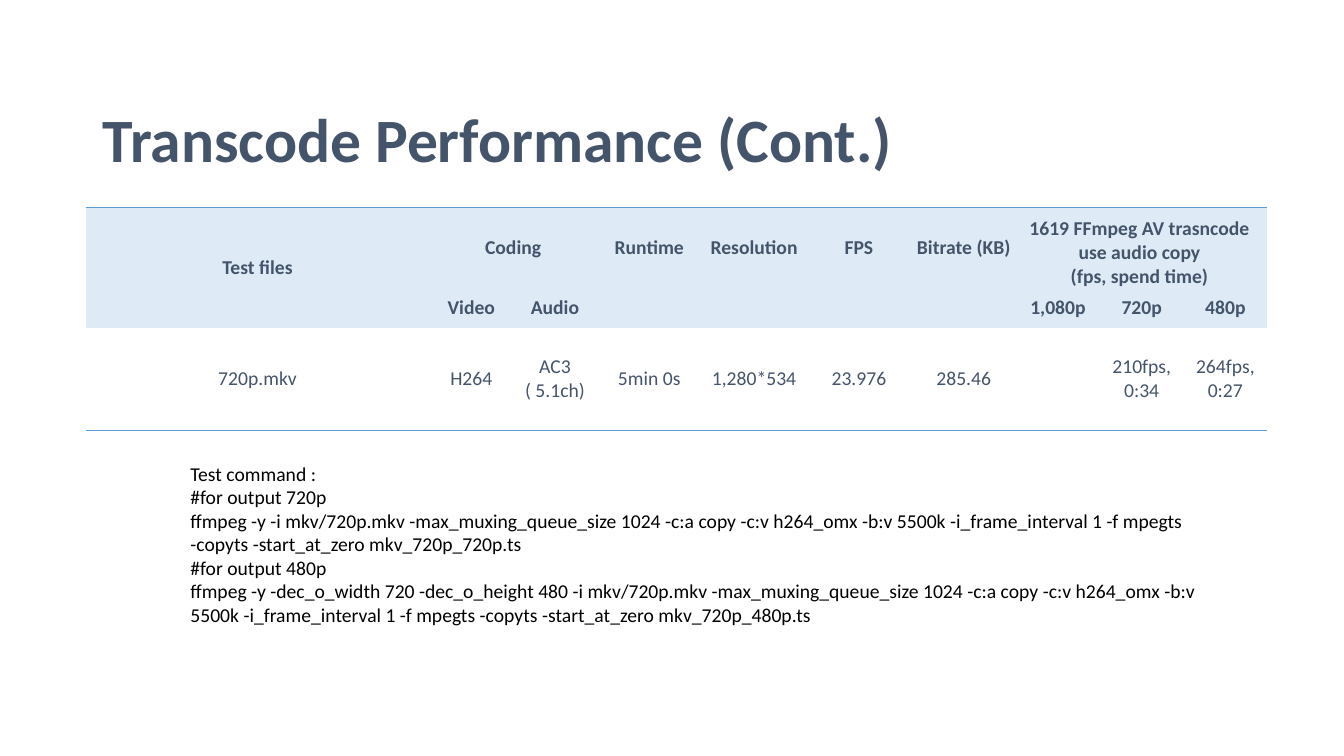
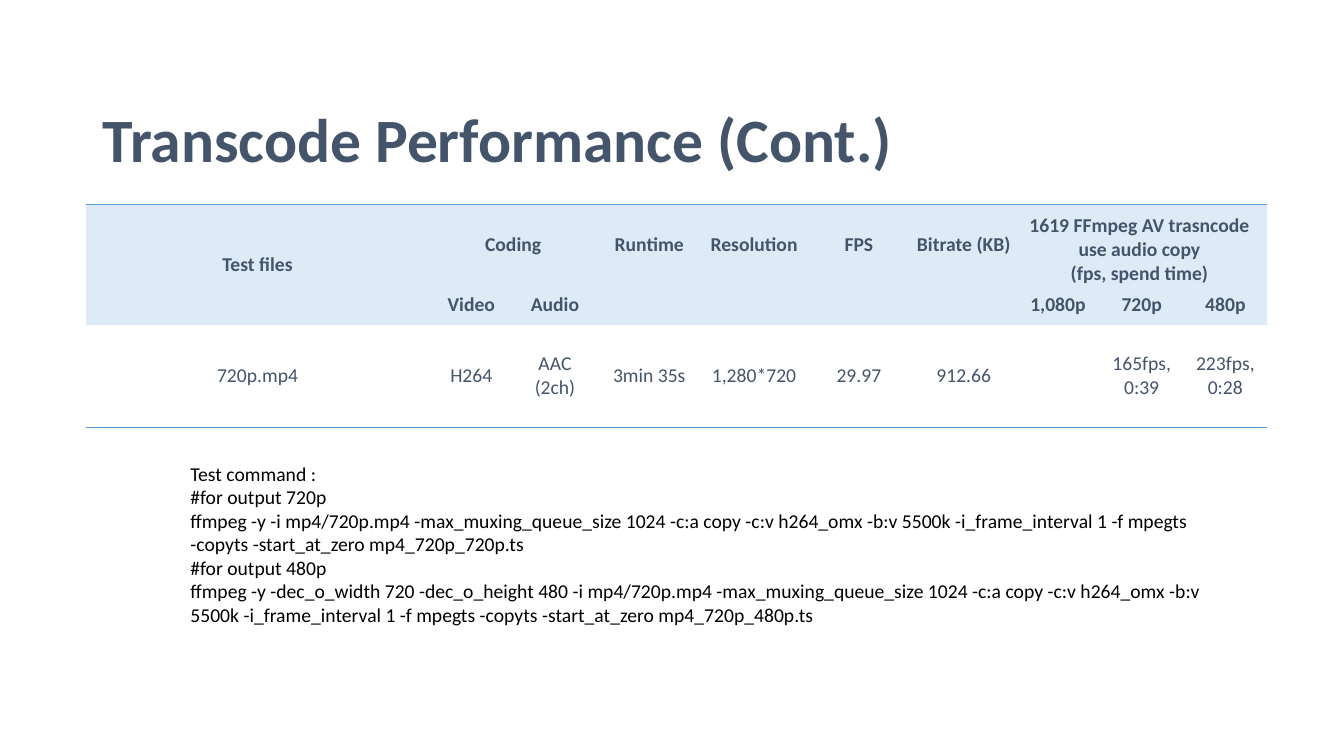
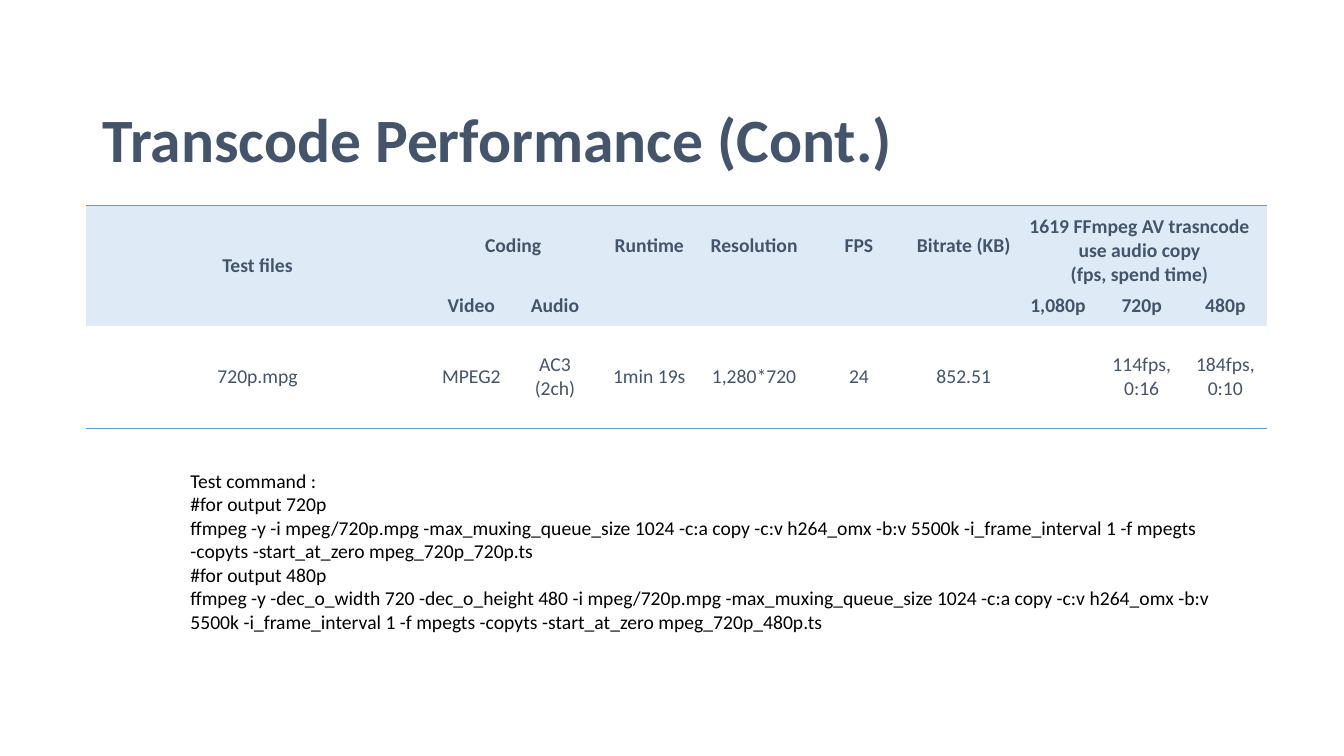
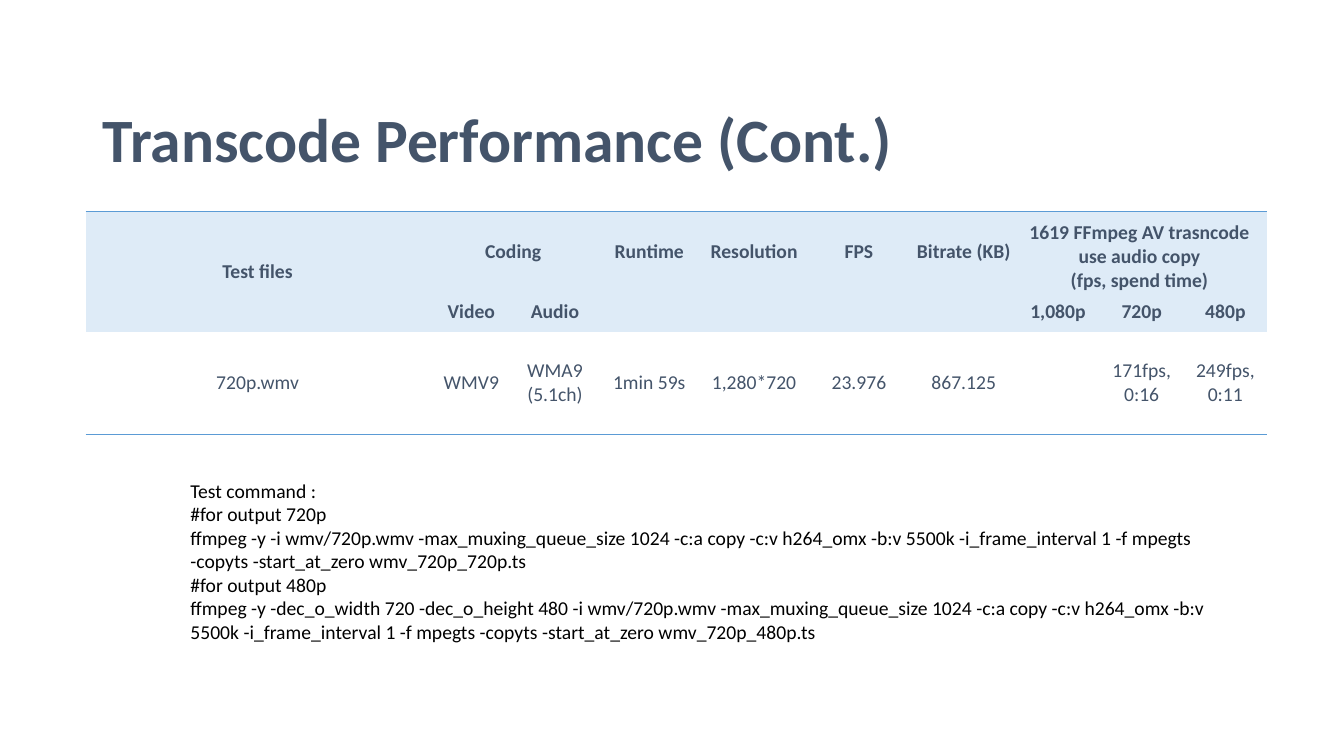
from dataclasses import dataclass

from lxml.etree import SubElement
from pptx import Presentation
from pptx.dml.color import RGBColor as Color
from pptx.enum.text import MSO_ANCHOR as Anchor, MSO_AUTO_SIZE as AutoSize, PP_ALIGN as Align
from pptx.oxml.ns import qn
from pptx.util import Inches, Pt


@dataclass(frozen=True)
class Theme:
    font: str = "Calibri"
    title_size: int = 44
    body_size: int = 14
    heading: str = "44546A"
    body: str = "000000"
    header_fill: str = "DEEBF7"
    rule: str = "5B9BD5"
    rule_width: int = 1
    plain_table: str = "{2D5ABB26-0587-4C30-8999-92F81FD0307C}"


THEME = Theme()

# Table layout shared by every slide
COLUMN_WIDTHS = [3.41] + [0.83] * 2 + [1.04] * 4 + [0.83] * 3
ROW_HEIGHTS = [0.8, 0.39, 1.02]
HEADER_ROWS = [
    ["Test files", "Coding", "", "Runtime", "Resolution", "FPS", "Bitrate (KB)",
     "1619 FFmpeg AV trasncode \nuse audio copy \n(fps, spend time) ", "", ""],
    ["", "Video", "Audio", "", "", "", "", "1,080p", "720p", "480p"],
]
MERGES = [((0, 0), (1, 0)), ((0, 1), (0, 2)), ((0, 7), (0, 9))]
RESULT_CELL = (0, 7)

# One entry per slide: folder, file type, table top, command top, measured values
TESTS = [
    ("mkv", "mkv", 2.06, 4.53,
     ["H264", ["AC3", "( 5.1ch)"], "5min 0s", "1,280*534", "23.976", "285.46",
      "", "210fps, 0:34", "264fps, 0:27"]),
    ("mp4", "mp4", 2.03, 4.53,
     ["H264", ["AAC", "(2ch)"], "3min 35s", "1,280*720", "29.97", "912.66",
      "", "165fps, 0:39", "223fps, 0:28"]),
    ("mpeg", "mpg", 2.04, 4.6,
     ["MPEG2", ["AC3", "(2ch)"], "1min 19s", "1,280*720", "24", "852.51",
      "", "114fps, 0:16", "184fps, 0:10"]),
    ("wmv", "wmv", 2.1, 4.7,
     ["WMV9", "WMA9 (5.1ch)", "1min 59s", "1,280*720", "23.976", "867.125",
      "", "171fps, 0:16", "249fps, 0:11"]),
]


def write(frame, text, *, size=THEME.body_size, color=THEME.body, bold=False,
          align=Align.LEFT, spacing=None):
    """Fill a text frame: a list gives paragraphs, a newline a line break."""
    paragraphs = [text] if isinstance(text, str) else text
    for index, content in enumerate(paragraphs):
        para = frame.paragraphs[0] if index == 0 else frame.add_paragraph()
        para.alignment = align
        if spacing:
            para.line_spacing = spacing
        for number, line in enumerate(content.split("\n")):
            if number:
                para.add_line_break()
            span = para.add_run()
            span.text = line
            span.font.name = THEME.font
            span.font.size = Pt(size)
            span.font.bold = bold
            span.font.color.rgb = Color.from_string(color)


def add_rule(cell, edge):
    """Draw one edge of a cell; edge is lnT or lnB."""
    line = SubElement(cell._tc.get_or_add_tcPr(), qn(f"a:{edge}"),
                      w=str(Pt(THEME.rule_width)))
    fill = SubElement(line, qn("a:solidFill"))
    SubElement(fill, qn("a:srgbClr"), val=THEME.rule)


def commands(folder, extension):
    source = f"-i {folder}/720p.{extension} -max_muxing_queue_size 1024"
    options = ("-c:a copy -c:v h264_omx -b:v 5500k -i_frame_interval 1 "
               "-f mpegts -copyts -start_at_zero")
    return [
        "Test command :",
        "#for output 720p",
        f"ffmpeg -y {source} {options} {folder}_720p_720p.ts",
        "#for output 480p",
        f"ffmpeg -y -dec_o_width 720 -dec_o_height 480 {source} {options} {folder}_720p_480p.ts",
    ]


class Builder:
    def __init__(self):
        self.deck = Presentation()
        self.deck.slide_width = Inches(13.33)
        self.deck.slide_height = Inches(7.5)
        self.page = None

    def new_page(self, title):
        self.page = self.deck.slides.add_slide(self.deck.slide_layouts[5])
        box = self.page.shapes.title
        box.left, box.top = Inches(0.92), Inches(0.98)
        box.width, box.height = Inches(11.5), Inches(0.86)
        frame = box.text_frame
        frame.auto_size = AutoSize.NONE
        frame.vertical_anchor = Anchor.MIDDLE
        write(frame, title, size=THEME.title_size, color=THEME.heading,
              bold=True, spacing=0.9)

    def table(self, top, rows):
        holder = self.page.shapes.add_table(
            len(rows), len(COLUMN_WIDTHS), Inches(0.85), Inches(top),
            Inches(sum(COLUMN_WIDTHS)), Inches(sum(ROW_HEIGHTS)))
        table = holder.table
        table.first_row = table.horz_banding = False
        table._tbl.tblPr.find(qn("a:tableStyleId")).text = THEME.plain_table
        for column, width in zip(table.columns, COLUMN_WIDTHS):
            column.width = Inches(width)
        for row, height in zip(table.rows, ROW_HEIGHTS):
            row.height = Inches(height)
        for first, last in MERGES:
            table.cell(*first).merge(table.cell(*last))
        for r, values in enumerate(rows):
            for c, value in enumerate(values):
                self.style_cell(table.cell(r, c), r, value)
        table.cell(*RESULT_CELL).vertical_anchor = Anchor.BOTTOM

    def style_cell(self, cell, row, value):
        header = row < len(HEADER_ROWS)
        cell.margin_left = cell.margin_right = cell.margin_top = cell.margin_bottom = 0
        cell.vertical_anchor = Anchor.MIDDLE
        if row == 0:
            add_rule(cell, "lnT")
        if not header:
            add_rule(cell, "lnB")
            cell.fill.background()
        else:
            cell.fill.solid()
            cell.fill.fore_color.rgb = Color.from_string(THEME.header_fill)
        if value:
            write(cell.text_frame, value, color=THEME.heading, bold=header,
                  align=Align.CENTER)

    def text_box(self, top, text):
        box = self.page.shapes.add_textbox(Inches(1.79), Inches(top), Inches(10.54), Inches(1.75))
        box.text_frame.word_wrap = True
        box.text_frame.auto_size = AutoSize.SHAPE_TO_FIT_TEXT
        write(box.text_frame, text)


def main():
    builder = Builder()
    for folder, extension, table_top, command_top, values in TESTS:
        builder.new_page("Transcode Performance (Cont.)")
        builder.table(table_top, HEADER_ROWS + [[f"720p.{extension}"] + values])
        builder.text_box(command_top, commands(folder, extension))
    builder.deck.save("out.pptx")


if __name__ == "__main__":
    main()
